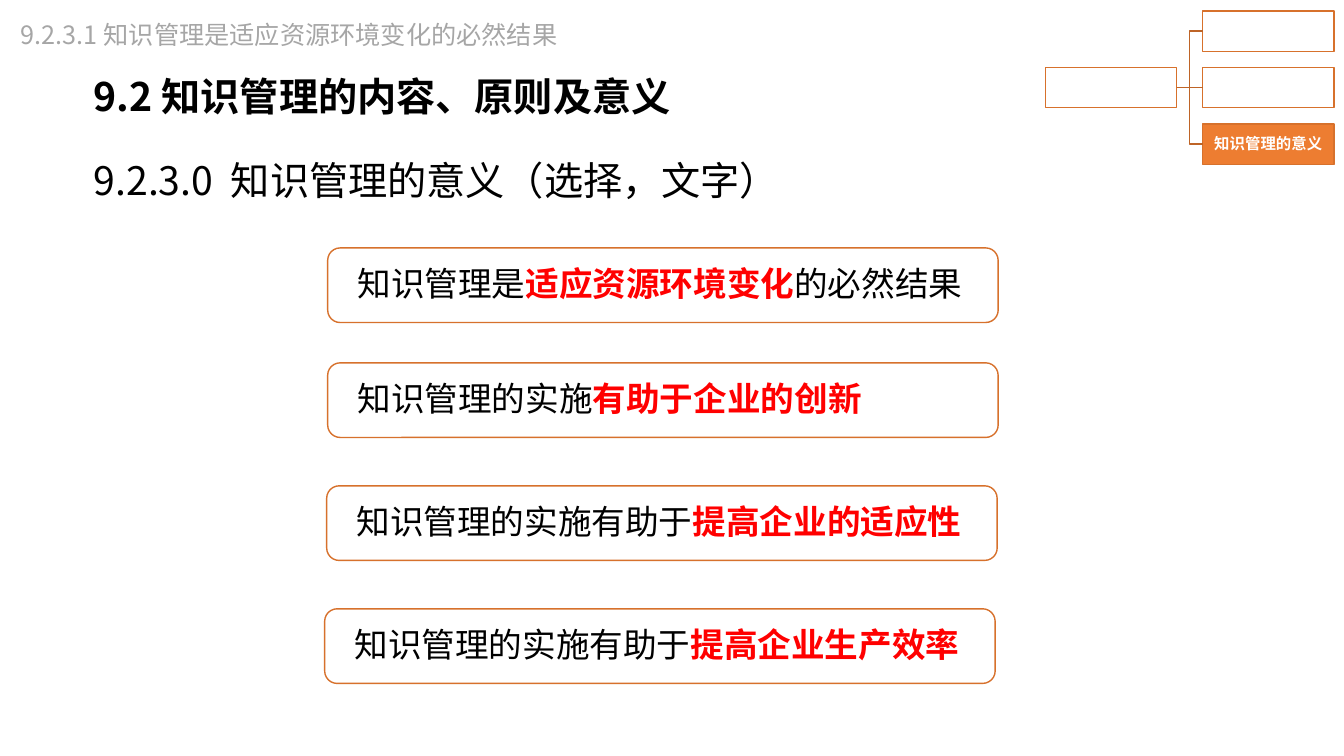
from dataclasses import dataclass

from lxml import etree
from pptx import Presentation
from pptx import util as u
from pptx.dml.color import RGBColor
from pptx.enum import shapes, text
from pptx.oxml.ns import qn

WIDTH, HEIGHT = u.Inches(13.33), u.Inches(7.5)
COLS, ROWS = 133.3, 75


@dataclass(frozen=True)
class Theme:
    font: str = "Noto Sans CJK SC"
    card_font: str = "Noto Sans CJK JP"
    ink: str = "000000"
    paper: str = "FFFFFF"
    muted: str = "A6A6A6"
    accent: str = "ED7D31"
    border: str = "D7712C"
    link: str = "BE6427"
    key: str = "FF0000"
    heading: int = 28
    card: int = 24
    crumb: int = 18
    node: int = 11
    line: int = 1


T = Theme()


def grid(col, row, cols, rows):
    return [int(v) for v in (WIDTH * col / COLS, HEIGHT * row / ROWS,
                             WIDTH * cols / COLS, HEIGHT * rows / ROWS)]


def apply(obj, **values):
    for name, value in values.items():
        setattr(obj, name, value)


def frame(sp, anchor, left, right, edge):
    tf = sp.text_frame
    apply(tf, word_wrap=True, auto_size=text.MSO_AUTO_SIZE.NONE,
          vertical_anchor=anchor,
          margin_left=u.Inches(left), margin_right=u.Inches(right),
          margin_top=u.Inches(edge), margin_bottom=u.Inches(edge))
    return tf


def paragraph(tf, runs, size, font=T.font, align=text.PP_ALIGN.LEFT, spacing=1.0):
    p = tf.paragraphs[0]
    apply(p, alignment=align, line_spacing=spacing, space_before=u.Pt(0))
    for words, color, bold in runs:
        r = p.add_run()
        r.text = words
        apply(r.font, size=u.Pt(size), bold=bold, name=font)
        r.font.color.rgb = RGBColor.from_string(color)
        etree.SubElement(r.font._element, qn("a:ea"), typeface=font)
    return p


def place(sp, box):
    apply(sp, **dict(zip(("left", "top", "width", "height"), box)))


def add_headings(s):
    title, body = s.shapes.title, s.placeholders[1]
    place(title, grid(8, 6.5, 114.5, 5.9))
    paragraph(frame(title, text.MSO_ANCHOR.TOP, 0.13, 0.12, 0.07),
              [("9.2 知识管理的内容、原则及意义", T.ink, True)], T.heading)
    place(body, grid(8, 11.5, 121.6, 10.4))
    p = paragraph(frame(body, text.MSO_ANCHOR.MIDDLE, 0.13, 0.12, 0.06),
                  [("9.2.3.0  知识管理的意义（选择，文字）", T.ink, False)],
                  T.heading, spacing=1.5)
    pPr = p._p.get_or_add_pPr()
    pPr.set("marL", "0")
    pPr.set("indent", "0")
    etree.SubElement(pPr, qn("a:buNone"))


def add_crumb(s):
    sp = s.shapes.add_textbox(*grid(1.1, 1.4, 55.2, 4))
    paragraph(frame(sp, text.MSO_ANCHOR.TOP, 0.1, 0.1, 0.05),
              [("9.2.3.1 知识管理是适应资源环境变化的必然结果", T.muted, False)],
              T.crumb, align=text.PP_ALIGN.JUSTIFY)


def add_box(s, kind, box, fill):
    sp = s.shapes.add_shape(kind, *box)
    sp.shadow.inherit = False
    sp.fill.solid()
    sp.fill.fore_color.rgb = RGBColor.from_string(fill)
    sp.line.color.rgb = RGBColor.from_string(T.border)
    sp.line.width = u.Pt(T.line)
    return sp


def add_link(s, kind, parent, child):
    cx = s.shapes.add_connector(kind, 0, 0, 0, 0)
    cx.begin_connect(parent, 3)
    cx.end_connect(child, 1)
    cx.line.color.rgb = RGBColor.from_string(T.link)
    cx.line.width = u.Pt(T.line)
    etree.SubElement(cx._element.spPr, qn("a:effectLst"))


def add_tree(s):
    rect = shapes.MSO_SHAPE.RECTANGLE
    elbow, straight = shapes.MSO_CONNECTOR.ELBOW, shapes.MSO_CONNECTOR.STRAIGHT
    parent = add_box(s, rect, grid(103.7, 6.7, 13, 4), T.paper)
    branches = [(elbow, T.paper), (straight, T.paper), (elbow, T.accent)]
    for i, (kind, fill) in enumerate(branches):
        child = add_box(s, rect, grid(119.3, 1.1 + 5.6 * i, 13, 4), fill)
        add_link(s, kind, parent, child)
    paragraph(frame(child, text.MSO_ANCHOR.MIDDLE, 0.01, 0.01, 0.01),
              [("知识管理的意义", T.paper, True)], T.node,
              align=text.PP_ALIGN.CENTER, spacing=0.9)


def add_card(s, col, row, before, key, after=""):
    sp = add_box(s, shapes.MSO_SHAPE.ROUNDED_RECTANGLE,
                 grid(col, row, 66.5, 7.4), T.paper)
    runs = [(before, T.ink, False), (key, T.key, True), (after, T.ink, False)]
    paragraph(frame(sp, text.MSO_ANCHOR.MIDDLE, 0.26, 0.1, 0),
              [run for run in runs if run[0]], T.card, T.card_font, spacing=0.9)


def main():
    prs = Presentation()
    apply(prs, slide_width=WIDTH, slide_height=HEIGHT)
    s = prs.slides.add_slide(prs.slide_layouts[1])
    add_headings(s)
    add_crumb(s)
    add_tree(s)
    for card in [
        (32.5, 24.6, "知识管理是", "适应资源环境变化", "的必然结果"),
        (32.5, 36, "知识管理的实施", "有助于企业的创新"),
        (32.4, 48.2, "知识管理的实施有助于", "提高企业的适应性"),
        (32.2, 60.4, "知识管理的实施有助于", "提高企业生产效率"),
    ]:
        add_card(s, *card)
    prs.save("out.pptx")


if __name__ == "__main__":
    main()
